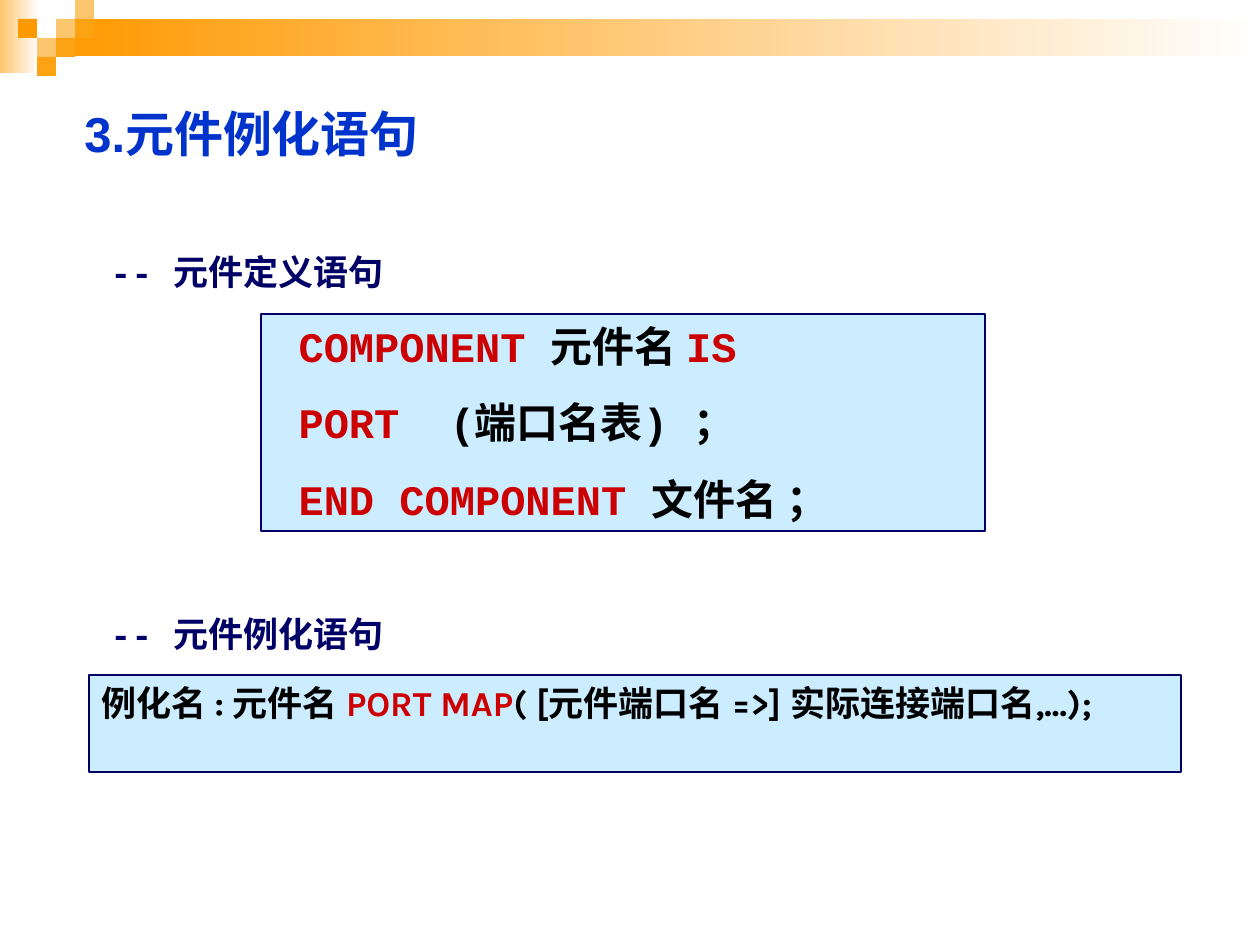
from dataclasses import dataclass
from typing import Optional

import pptx
import pptx.dml.color
import pptx.enum.shapes
import pptx.enum.text
import pptx.oxml
import pptx.oxml.ns
import pptx.util

SCALE = 914400 / 126


@dataclass(frozen=True)
class Theme:
    deep: str = "FF9900"
    mid: str = "FBA313"
    pale: str = "FCC66E"
    white: str = "FFFFFF"
    title: str = "0033CC"
    navy: str = "000066"
    red: str = "CC0000"
    black: str = "000000"
    panel: str = "CCECFF"
    sans: str = "Arial"
    mono: str = "Courier New"
    latin: str = "Karla"
    asian: str = "Noto Sans CJK SC"
    large: int = 28
    code: int = 24
    small: int = 20
    edge: float = 1.5


T = Theme()


@dataclass(frozen=True)
class Area:
    left: int
    top: int
    width: int
    height: int


@dataclass(frozen=True)
class Run:
    text: str
    color: str = T.black
    font: str = T.mono


@dataclass(frozen=True)
class Block:
    area: Area
    lines: tuple[tuple[Run, ...], ...]
    size: int
    panel: bool = False
    wrap: bool = True
    just: bool = False


@dataclass(frozen=True)
class Tile:
    area: Area
    color: str
    fade: Optional[str] = None


def px(value: int) -> int:
    return round(value * SCALE)


def rgb(code: str) -> pptx.dml.color.RGBColor:
    return pptx.dml.color.RGBColor.from_string(code)


def apply(item, form: dict) -> None:
    for name, value in form.items():
        setattr(item, name, value)


def place(area: Area) -> tuple[int, ...]:
    return tuple(px(v) for v in (area.left, area.top, area.width, area.height))


def add_rect(slide, area: Area):
    kind = pptx.enum.shapes.MSO_SHAPE.RECTANGLE
    rect = slide.shapes.add_shape(kind, *place(area))
    rect.shadow.inherit = False
    return rect


def draw_tile(slide, tile: Tile) -> None:
    rect = add_rect(slide, tile.area)
    rect.line.fill.background()
    if tile.fade is None:
        rect.fill.solid()
        rect.fill.fore_color.rgb = rgb(tile.color)
        return
    rect.fill.gradient()
    rect.fill.gradient_angle = 0
    for stop, color in zip(rect.fill.gradient_stops, (tile.color, tile.fade)):
        stop.color.rgb = rgb(color)


def add_run(para, run: Run, size: int) -> None:
    part = para.add_run()
    part.text = run.text
    apply(part.font, {"name": run.font, "size": pptx.util.Pt(size), "bold": True})
    part.font.color.rgb = rgb(run.color)
    asian = pptx.oxml.parse_xml(
        f'<a:ea {pptx.oxml.ns.nsdecls("a")} typeface="{T.asian}"/>'
    )
    part.font._element.find(pptx.oxml.ns.qn("a:latin")).addnext(asian)


def draw_block(slide, block: Block) -> None:
    if block.panel:
        box = add_rect(slide, block.area)
        box.fill.solid()
        box.fill.fore_color.rgb = rgb(T.panel)
        box.line.color.rgb = rgb(T.navy)
        box.line.width = pptx.util.Pt(T.edge)
    else:
        box = slide.shapes.add_textbox(*place(block.area))
    frame = box.text_frame
    apply(frame, {
        "word_wrap": block.wrap,
        "vertical_anchor": pptx.enum.text.MSO_ANCHOR.TOP,
    })
    align = pptx.enum.text.PP_ALIGN
    for index, line in enumerate(block.lines):
        para = frame.paragraphs[0] if index == 0 else frame.add_paragraph()
        apply(para, {
            "alignment": align.JUSTIFY if block.just else align.LEFT,
            "space_before": pptx.util.Pt(15 if index else 0),
        })
        for run in line:
            add_run(para, run, block.size)


def cell(col: int, row: int, color: str) -> Tile:
    return Tile(Area(18 + 19 * col, 19 * row, 19, 19), color)


def label(top: int, text: str) -> Block:
    return Block(Area(98, top, 307, 55), ((Run(text, T.navy),),), T.small, wrap=False)


TILES = (
    Tile(Area(0, 0, 39, 73), T.pale, T.white),
    Tile(Area(57, 19, 1203, 37), T.deep, T.white),
    cell(2, 1, T.pale),
    cell(3, 0, T.pale),
    cell(3, 1, T.mid),
    cell(1, 2, T.pale),
    cell(0, 1, T.deep),
    cell(2, 2, T.mid),
    cell(1, 3, T.mid),
)

BLOCKS = (
    Block(Area(72, 97, 423, 72),
          ((Run("3.元件例化语句", T.title, T.sans),),), T.large),
    Block(Area(261, 314, 724, 217), (
        (Run(" "), Run("COMPONENT ", T.red), Run("元件名 "), Run("IS", T.red)),
        (Run(" "), Run("PORT", T.red), Run("  (端口名表) ；")),
        (Run(" "), Run("END COMPONENT ", T.red), Run("文件名 ；")),
    ), T.code, panel=True, just=True),
    Block(Area(89, 675, 1092, 97), ((
        Run("例化名 ", font=T.asian),
        Run(": ", font=T.latin),
        Run("元件名 ", font=T.asian),
        Run("PORT MAP", T.red, T.latin),
        Run("( [元件", font=T.latin),
        Run("端口名 ", font=T.asian),
        Run("=>] 实际", font=T.latin),
        Run("连接端口名", font=T.asian),
        Run(",...);", font=T.latin),
    ),), T.small, panel=True),
    label(244, "-- 元件定义语句"),
    label(606, "-- 元件例化语句"),
)


def main() -> None:
    deck = pptx.Presentation()
    apply(deck, {"slide_width": px(1260), "slide_height": px(945)})
    slide = deck.slides.add_slide(deck.slide_layouts[6])
    for tile in TILES:
        draw_tile(slide, tile)
    for block in BLOCKS:
        draw_block(slide, block)
    deck.save("out.pptx")


if __name__ == "__main__":
    main()
